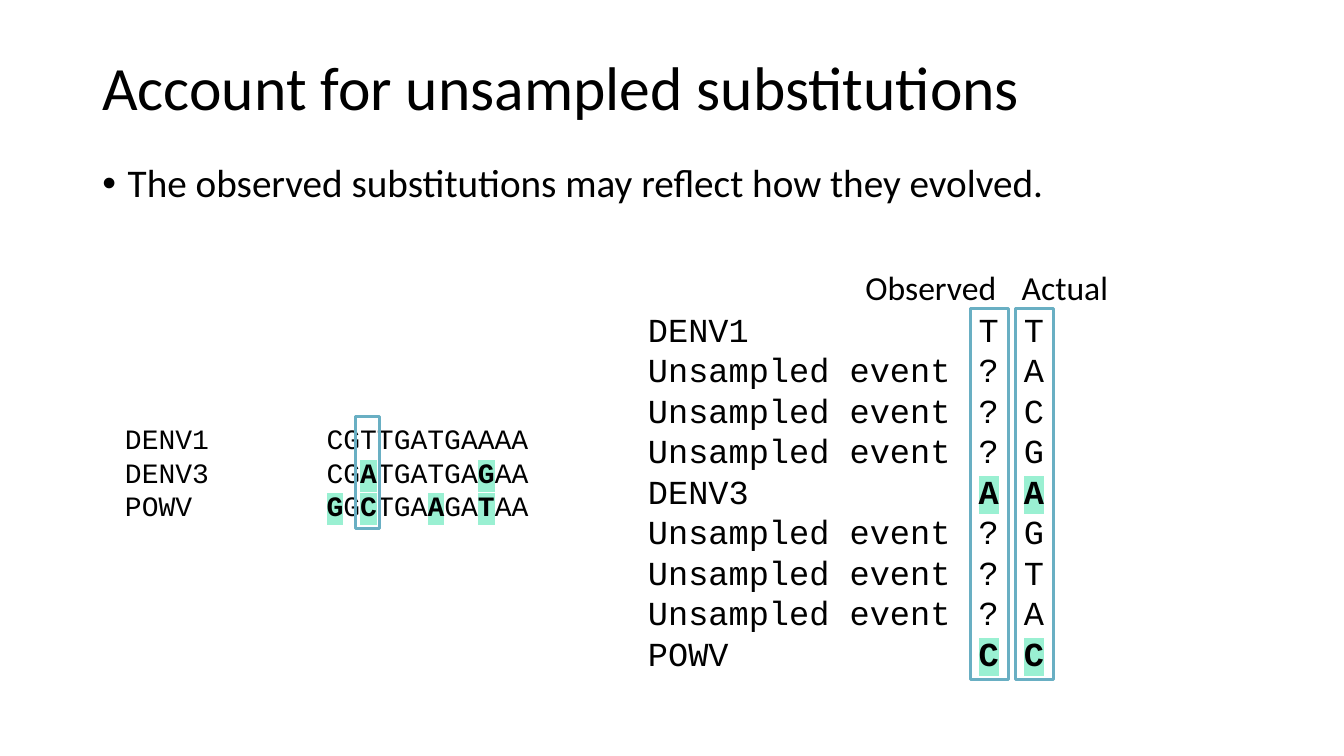
from dataclasses import dataclass

from lxml.etree import SubElement
from pptx import Presentation
from pptx.dml.color import RGBColor
from pptx.enum.shapes import MSO_SHAPE
from pptx.enum.text import MSO_ANCHOR, PP_ALIGN
from pptx.oxml.ns import qn
from pptx.util import Cm, Pt


@dataclass(frozen=True)
class Theme:
    ink: str = "000000"
    marker: str = "9AF0D2"
    frame: str = "69AFC3"
    frame_width: float = 2.25
    sans: str = "Calibri"
    mono: str = "Courier New"
    title: int = 44
    body: int = 28
    column: int = 24
    alignment: int = 20
    column_pitch: float = 28.9
    alignment_pitch: float = 24.1


class SlideBuilder:
    def __init__(self, slide, theme):
        self.slide = slide
        self.theme = theme

    def text(self, box, lines, size, font, spacing=None,
             align=PP_ALIGN.LEFT, anchor=MSO_ANCHOR.TOP, tab=None):
        """Write lines; bases between asterisks are bold and highlighted."""
        frame = self.slide.shapes.add_textbox(*map(Cm, box)).text_frame
        frame.word_wrap = True
        frame.vertical_anchor = anchor
        for index, line in enumerate(lines):
            paragraph = frame.add_paragraph() if index else frame.paragraphs[0]
            paragraph.alignment = align
            if spacing:
                paragraph.line_spacing = spacing
            if tab:
                stops = SubElement(paragraph._p.get_or_add_pPr(), qn("a:tabLst"))
                SubElement(stops, qn("a:tab"), pos=str(Cm(tab)), algn="l")
            for part, words in enumerate(line.split("*")):
                if words:
                    self.run(paragraph, words, size, font, marked=part % 2 == 1)
        return frame

    def run(self, paragraph, words, size, font, marked):
        run = paragraph.add_run()
        run.text = words
        run.font.size = Pt(size)
        run.font.bold = marked
        run.font.color.rgb = RGBColor.from_string(self.theme.ink)
        run.font.name = font
        if marked:
            properties = run._r.get_or_add_rPr()
            highlight = SubElement(properties, qn("a:highlight"))
            SubElement(highlight, qn("a:srgbClr"), val=self.theme.marker)
            properties.find(qn("a:latin")).addprevious(highlight)

    def bullet(self, box, words):
        frame = self.text(box, [words], self.theme.body, self.theme.sans, 0.9)
        properties = frame.paragraphs[0]._p.get_or_add_pPr()
        indent = Cm(0.64)
        properties.set("marL", str(indent))
        properties.set("indent", str(-indent))
        SubElement(properties, qn("a:buFont"), typeface="Arial")
        SubElement(properties, qn("a:buChar"), char="•")

    def outline(self, box):
        outline = self.slide.shapes.add_shape(MSO_SHAPE.RECTANGLE, *map(Cm, box))
        outline.shadow.inherit = False
        outline.fill.background()
        outline.line.color.rgb = RGBColor.from_string(self.theme.frame)
        outline.line.width = Pt(self.theme.frame_width)


SEQUENCES = [
    ("DENV1", "CGTTGATGAAAA"),
    ("DENV3", "CG*A*TGATGA*G*AA"),
    ("POWV", "*G*G*C*TGA*A*GA*T*AA"),
]
UNSAMPLED = "Unsampled event"
HISTORY = [
    ("DENV1", "T", "T"),
    (UNSAMPLED, "?", "A"),
    (UNSAMPLED, "?", "C"),
    (UNSAMPLED, "?", "G"),
    ("DENV3", "*A*", "*A*"),
    (UNSAMPLED, "?", "G"),
    (UNSAMPLED, "?", "T"),
    (UNSAMPLED, "?", "A"),
    ("POWV", "*C*", "*C*"),
]


def main():
    deck = Presentation()
    deck.slide_width, deck.slide_height = Cm(33.87), Cm(19.05)
    theme = Theme()
    builder = SlideBuilder(deck.slides.add_slide(deck.slide_layouts[6]), theme)

    # Title and statement
    builder.text((2.33, 1.24, 29.21, 2.06), ["Account for unsampled substitutions"],
                 theme.title, theme.sans, 0.9, anchor=MSO_ANCHOR.MIDDLE)
    builder.bullet((2.33, 4.01, 30.96, 1.24),
                   "The observed substitutions may reflect how they evolved.")

    # Sequence alignment with the site of interest framed
    builder.text((2.9, 10.49, 13.94, 2.82),
                 [f"{virus}\t{bases}" for virus, bases in SEQUENCES],
                 theme.alignment, theme.mono, Pt(theme.alignment_pitch), tab=5.08)
    builder.outline((8.97, 10.49, 0.6, 2.82))

    # History of that site: names, then observed and actual bases
    names, observed, actual = zip(*HISTORY)
    top, height = 7.65, 9.5
    pitch = Pt(theme.column_pitch)
    builder.text((16.08, top, 8.2, height), names, theme.column, theme.mono, pitch)
    columns = [
        ("Observed", observed, 21.56, 24.28),
        ("Actual", actual, 25.5, 25.42),
    ]
    for heading, bases, heading_left, left in columns:
        builder.text((heading_left, 6.59, 8.2, 1.28), [heading],
                     theme.column, theme.sans)
        builder.text((left, top, 1.14, height), bases, theme.column, theme.mono,
                     pitch, align=PP_ALIGN.RIGHT)
        builder.outline((left + 0.17, 7.77, 0.97, 9.35))

    deck.save("out.pptx")


if __name__ == "__main__":
    main()
